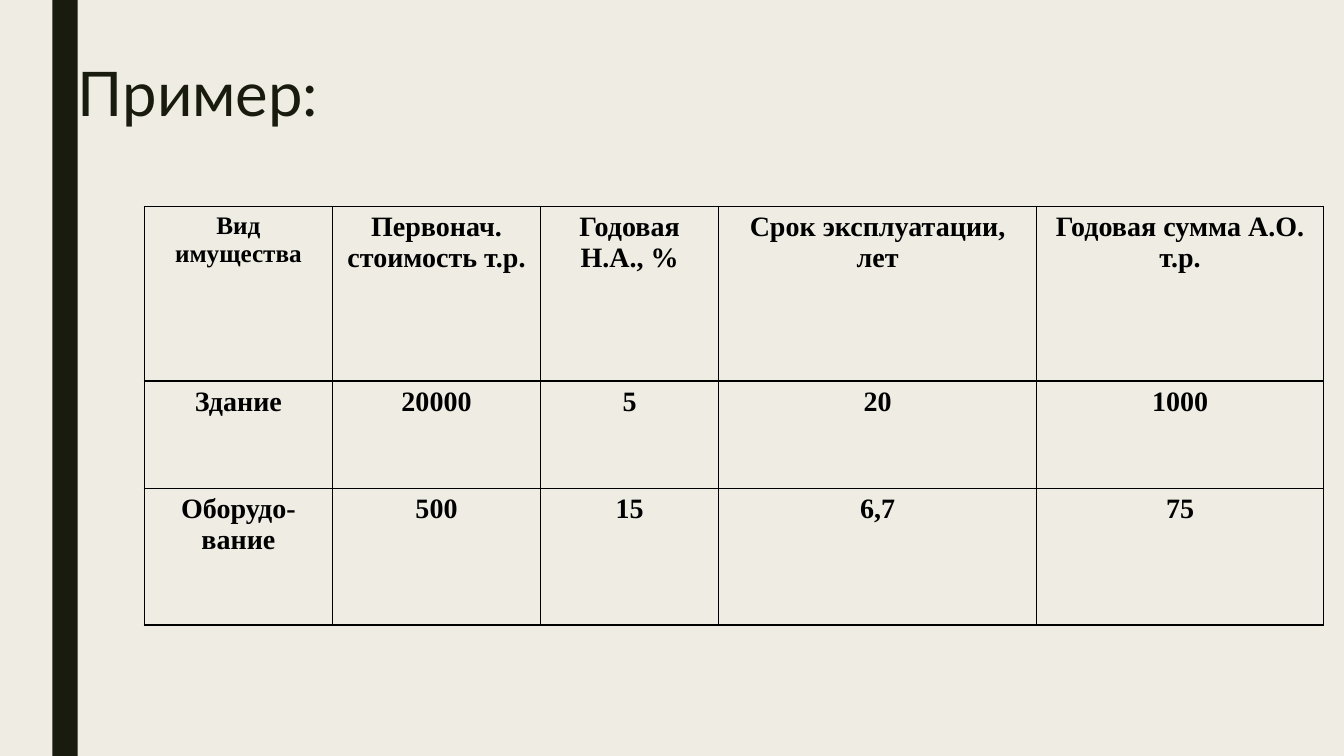
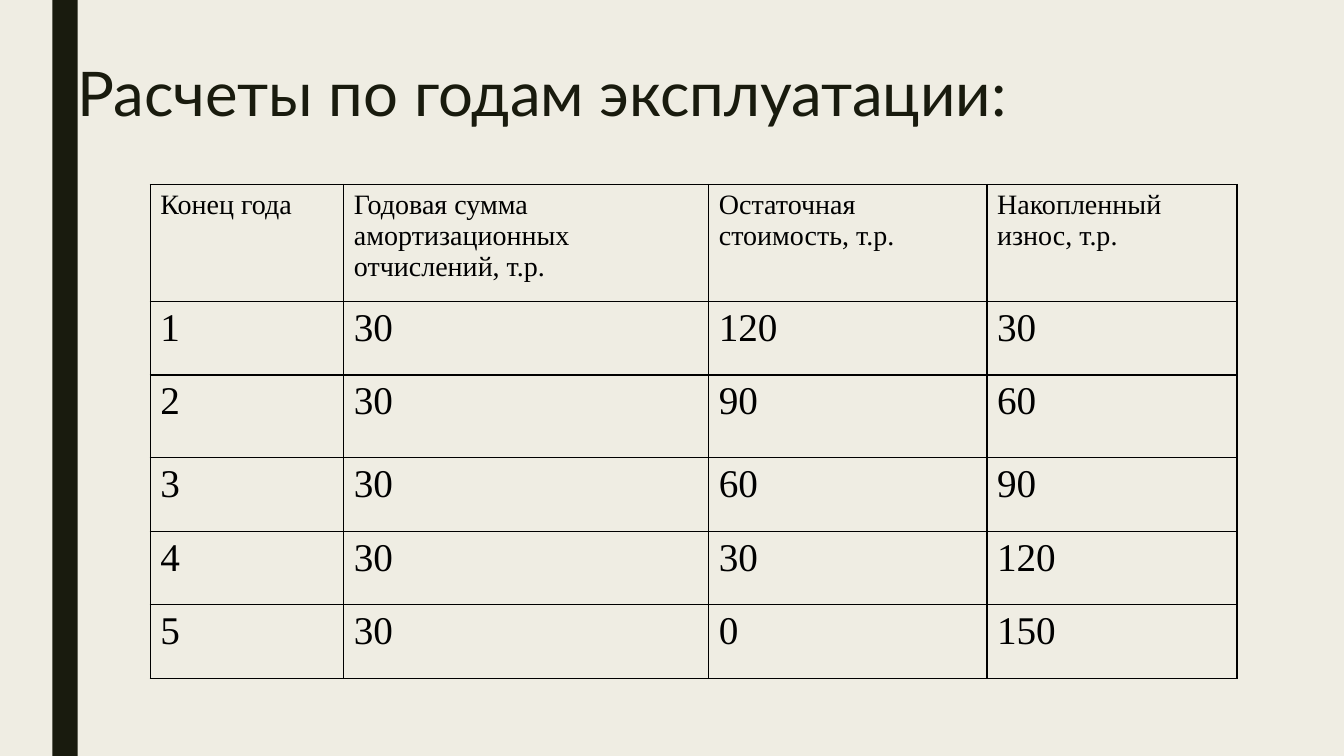
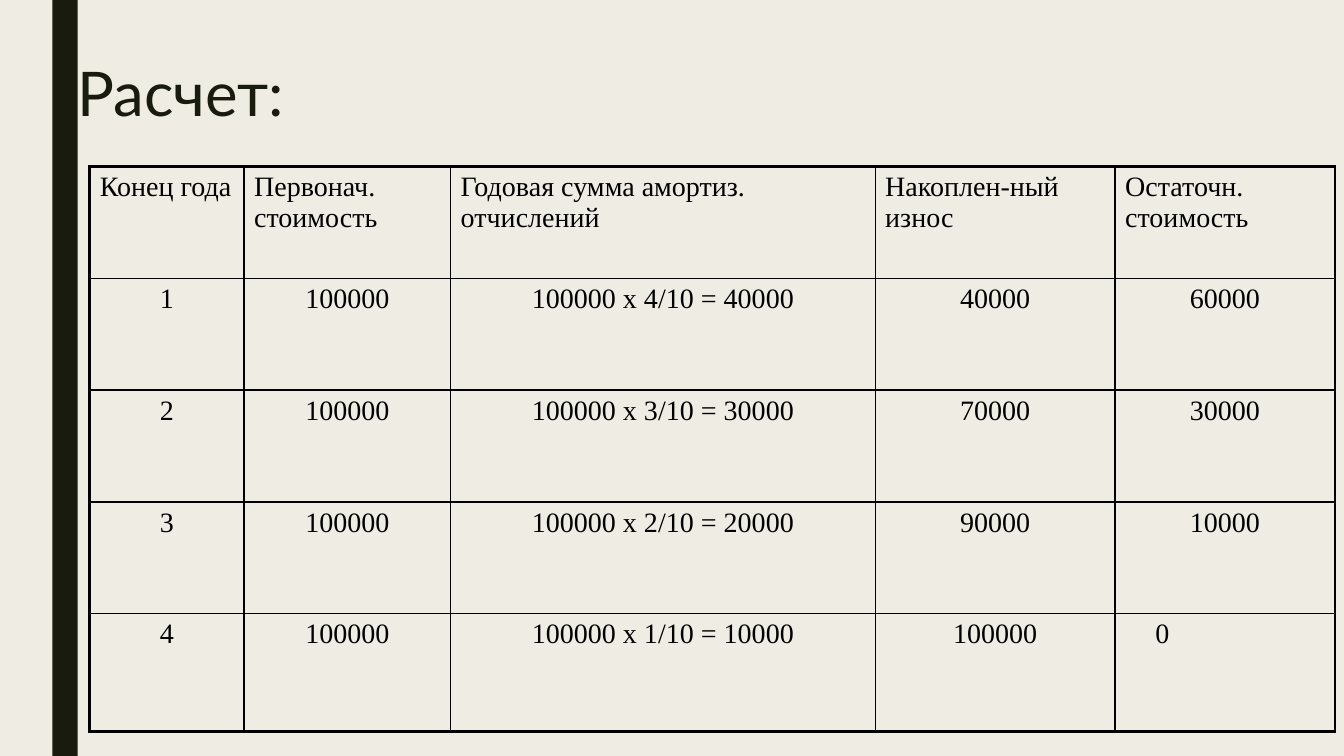
import pptx
import pptx.util
import pptx.dml.color
import pptx.enum.shapes
import pptx.enum.text
import pptx.oxml
import pptx.oxml.ns
from lxml import etree

Inches = pptx.util.Inches
Pt = pptx.util.Pt
RGBColor = pptx.dml.color.RGBColor
ALIGN = pptx.enum.text.PP_ALIGN

PAPER = RGBColor(0xEF, 0xED, 0xE3)
DARK = RGBColor(0x19, 0x1B, 0x0E)
BLACK = RGBColor(0, 0, 0)


class Deck:
    """Holds the shared style and the current slide."""

    head_font = "Lato"
    cell_font = "Times New Roman"
    thin = 1

    def __init__(self):
        self.prs = pptx.Presentation()
        self.prs.slide_width = Inches(13.33)
        self.prs.slide_height = Inches(7.5)
        fill = self.prs.slide_master.background.fill
        fill.solid()
        fill.fore_color.rgb = PAPER
        self.slide = None

    def start(self, title):
        first = self.slide is None
        self.slide = self.prs.slides.add_slide(self.prs.slide_layouts[5])
        if first:
            self.band()
        self.title(title)

    def band(self):
        """Draw the side band, then hand it to the master for all slides."""
        bar = self.slide.shapes.add_shape(
            pptx.enum.shapes.MSO_SHAPE.RECTANGLE,
            Inches(0.52), 0, Inches(0.25), self.prs.slide_height)
        bar.shadow.inherit = False
        bar.fill.solid()
        bar.fill.fore_color.rgb = DARK
        bar.line.fill.background()
        self.prs.slide_master.shapes.element.insert(2, bar.element)

    def text(self, para, words, font, size, color, bold=False):
        run = para.add_run()
        run.text = words
        run.font.name = font
        run.font.size = Pt(size)
        run.font.color.rgb = color
        run.font.bold = bold

    def title(self, words):
        box = self.slide.shapes.title
        box.left, box.top = Inches(0.67), Inches(0.58)
        box.width, box.height = Inches(12), Inches(1.25)
        frame = box.text_frame
        frame.vertical_anchor = pptx.enum.text.MSO_ANCHOR.TOP
        para = frame.paragraphs[0]
        para.alignment = ALIGN.LEFT
        para.line_spacing = 0.89
        self.text(para, words, self.head_font, 44, DARK)

    def border(self, cell, sides):
        """Set the cell's lines; sides maps L, R, T, B to points."""
        props = cell._tc.get_or_add_tcPr()
        for side, width in sides.items():
            line = etree.SubElement(
                props, pptx.oxml.ns.qn("a:ln" + side), w=str(Pt(width)))
            solid = etree.SubElement(line, pptx.oxml.ns.qn("a:solidFill"))
            etree.SubElement(solid, pptx.oxml.ns.qn("a:srgbClr"), val=str(BLACK))

    def table(self, left, top, cols, rows, data, head=20, size=20,
              head_align=ALIGN.LEFT, align=ALIGN.LEFT, bold=False, edge=thin):
        """Add a table; edge is the width of its outer frame in points."""
        grid = self.slide.shapes.add_table(
            len(rows), len(cols), Inches(left), Inches(top),
            Inches(sum(cols)), Inches(sum(rows))).table
        grid.first_row = grid.horz_banding = False
        for col, width in zip(grid.columns, cols):
            col.width = Inches(width)
        for row, height in zip(grid.rows, rows):
            row.height = Inches(height)
        for r, line in enumerate(data):
            for c, words in enumerate(line):
                cell = grid.cell(r, c)
                self.border(cell, {
                    "L": edge if c == 0 else self.thin,
                    "R": edge if c == len(cols) - 1 else self.thin,
                    "T": edge if r == 0 else self.thin,
                    "B": edge if r == len(rows) - 1 else self.thin})
                cell.fill.background()
                para = cell.text_frame.paragraphs[0]
                para.alignment = align if r else head_align
                self.text(para, words, self.cell_font,
                          size if r else head, BLACK, bold)
        return grid


def main():
    deck = Deck()

    # Example of yearly sums
    deck.start("Пример:")
    grid = deck.table(
        1.43, 2.05, [1.87, 2.06, 1.77, 3.15, 2.85], [1.73, 1.07, 1.35],
        [["Вид имущества", "Первонач. стоимость т.р.", "Годовая Н.А., %",
          "Срок эксплуатации, лет", "Годовая сумма А.О. т.р."],
         ["Здание", "20000", "5", "20", "1000"],
         ["Оборудо-вание", "500", "15", "6,7", "75"]],
        head_align=ALIGN.CENTER, align=ALIGN.CENTER, bold=True)
    grid.cell(0, 0).text_frame.paragraphs[0].runs[0].font.size = Pt(18)

    # Equal sums year by year
    deck.start("Расчеты по годам эксплуатации:")
    deck.table(
        1.49, 1.83, [1.92, 3.62, 2.76, 2.48],
        [1.16, 0.73, 0.82, 0.73, 0.73, 0.73],
        [["Конец года", "Годовая сумма амортизационных отчислений, т.р.",
          "Остаточная стоимость, т.р.", "Накопленный износ, т.р."],
         ["1", "30", "120", "30"],
         ["2", "30", "90", "60"],
         ["3", "30", "60", "90"],
         ["4", "30", "30", "120"],
         ["5", "30", "0", "150"]],
        size=28)

    # Falling sums year by year
    deck.start("Расчет:")
    grid = deck.table(
        0.89, 1.65, [1.53, 2.05, 4.21, 2.38, 2.18], [1.11] * 4 + [1.17],
        [["Конец года", "Первонач. стоимость",
          "Годовая сумма амортиз. отчислений", "Накоплен-ный износ",
          "Остаточн. стоимость"],
         ["1", "100000", "100000 х 4/10 = 40000", "40000", "60000"],
         ["2", "100000", "100000 х 3/10 = 30000", "70000", "30000"],
         ["3", "100000", "100000 х 2/10 = 20000", "90000", "10000"],
         ["4", "100000", "100000 х 1/10 = 10000", "100000", "0"]],
        align=ALIGN.CENTER, edge=2.25)
    last = grid.cell(4, 4)
    last.margin_left = Inches(0.4)
    last.text_frame.paragraphs[0].alignment = ALIGN.LEFT

    deck.prs.save("out.pptx")


if __name__ == "__main__":
    main()
